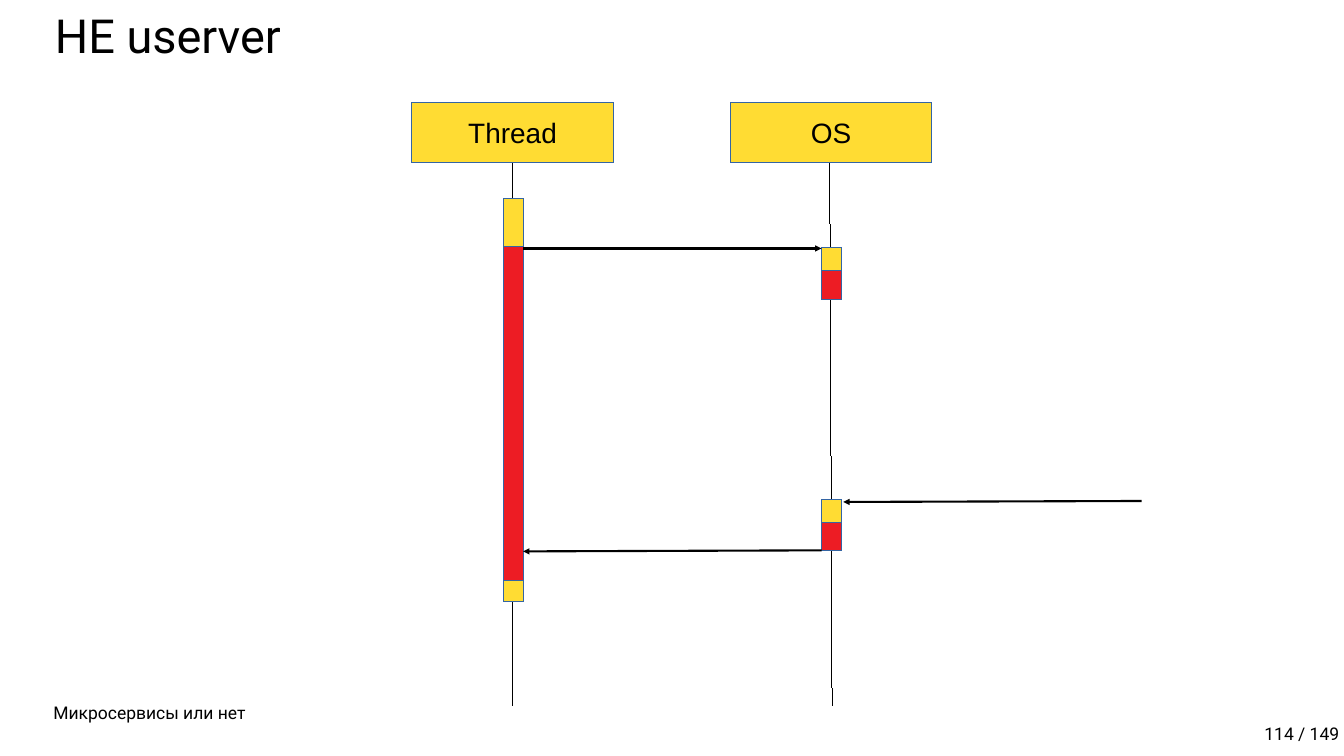
import pptx
import pptx.util
import pptx.dml.color
import pptx.enum.shapes
import pptx.enum.text
from lxml import etree

Pt = pptx.util.Pt
ANCHOR = pptx.enum.text.MSO_ANCHOR
ALIGN = pptx.enum.text.PP_ALIGN

COLORS = {"text": "000000", "busy": "FFDC33", "wait": "ED1C24", "edge": "3465A4"}
HAIRLINE, ARROW = 0.01, 3
HEAD_W, HEAD_H, HEAD_TOP = 288, 86.4, 146.2
BAR_W = 28.8

# text, left, top, width, height, size, anchor, alignment
TEXTS = [
    ("Микросервисы или нет", 69.1, 997.2, 817.2, 40.3, 25, ANCHOR.BOTTOM, ALIGN.LEFT),
    ("114 / 149", 1103, 1026, 817.2, 40.3, 25, ANCHOR.BOTTOM, ALIGN.RIGHT),
    ("НЕ userver", 71.3, 14.4, 1836, 100.8, 67, ANCHOR.TOP, ALIGN.LEFT),
]
# participant: bar centre, header centre, lifeline start and end,
# bars as (state, top, height)
PARTICIPANTS = {
    "Thread": dict(
        x=733, head_x=732.2, life=((732.2, 180), (732.2, 1008)),
        bars=[("busy", 283, 72), ("busy", 787.7, 72), ("wait", 352.8, 475.9)]),
    "OS": dict(
        x=1188, head_x=1187.3, life=((1185.1, 172.8), (1188.7, 1008)),
        bars=[("busy", 354.2, 72), ("busy", 714.2, 72),
              ("wait", 386.6, 41), ("wait", 745.9, 41)]),
}
THREAD_EDGE = PARTICIPANTS["Thread"]["x"] + BAR_W / 2
OS_EDGE = PARTICIPANTS["OS"]["x"] - BAR_W / 2
MESSAGES = [
    ((THREAD_EDGE, 355), (OS_EDGE, 355)),
    ((OS_EDGE, 786.2), (THREAD_EDGE, 787.7)),
    ((1630.8, 715.7), (1204.6, 717.1)),
]


def rgb(name):
    return pptx.dml.color.RGBColor.from_string(COLORS[name])


def write(s, text, font, size, anchor, align):
    tf = s.text_frame
    tf.vertical_anchor = anchor
    p = tf.paragraphs[0]
    p.text = text
    p.alignment = align
    p.font.name = font
    p.font.size = Pt(size)
    p.font.color.rgb = rgb("text")
    return p


def add_box(slide, left, top, width, height, fill):
    s = slide.shapes.add_shape(pptx.enum.shapes.MSO_SHAPE.RECTANGLE,
                               Pt(left), Pt(top), Pt(width), Pt(height))
    s.shadow.inherit = False
    s.fill.solid()
    s.fill.fore_color.rgb = rgb(fill)
    s.line.color.rgb = rgb("edge")
    s.line.width = Pt(HAIRLINE)
    return s


def add_line(slide, start, end, width, arrow=False):
    s = slide.shapes.add_connector(pptx.enum.shapes.MSO_CONNECTOR.STRAIGHT,
                                   *(Pt(v) for v in start + end))
    s.line.color.rgb = rgb("text")
    s.line.width = Pt(width)
    qn = pptx.oxml.ns.qn
    sp_pr = s.line._get_or_add_ln().getparent()
    if arrow:
        etree.SubElement(sp_pr.find(qn("a:ln")), qn("a:tailEnd"), type="triangle")
    etree.SubElement(sp_pr, qn("a:effectLst"))


prs = pptx.Presentation()
prs.slide_width, prs.slide_height = Pt(1920), Pt(1080)
slide = prs.slides.add_slide(prs.slide_layouts[6])

for text, left, top, width, height, size, anchor, align in TEXTS:
    s = slide.shapes.add_textbox(Pt(left), Pt(top), Pt(width), Pt(height))
    s.text_frame.word_wrap = True
    write(s, text, "Roboto", size, anchor, align).line_spacing = 0.9

for part in PARTICIPANTS.values():
    add_line(slide, *part["life"], HAIRLINE)

for name, part in PARTICIPANTS.items():
    s = add_box(slide, part["head_x"] - HEAD_W / 2, HEAD_TOP, HEAD_W, HEAD_H, "busy")
    s.text_frame.word_wrap = False
    write(s, name, "Arial", 40, ANCHOR.MIDDLE, ALIGN.CENTER)
    for state, top, height in part["bars"]:
        add_box(slide, part["x"] - BAR_W / 2, top, BAR_W, height, state)

for start, end in MESSAGES:
    add_line(slide, start, end, ARROW, arrow=True)

prs.save("out.pptx")
